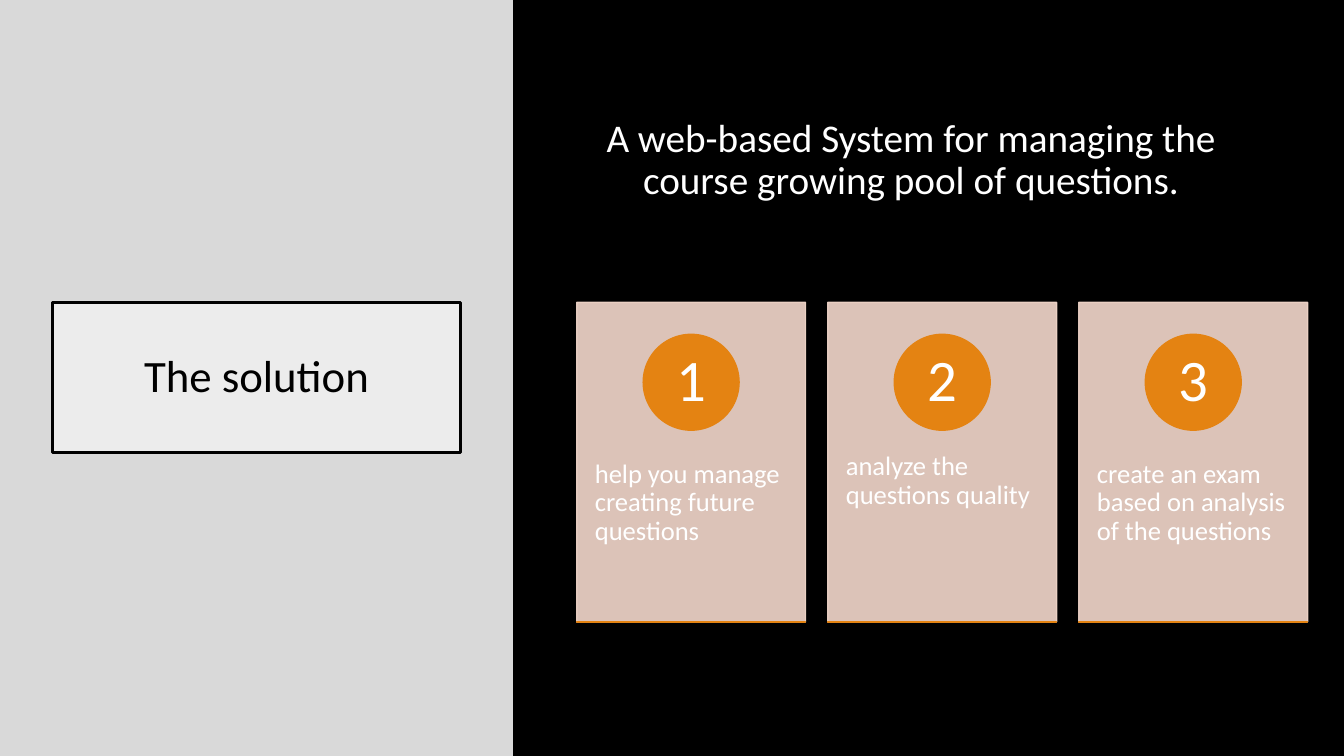
import pptx
import pptx.util
import pptx.dml.color
import pptx.enum.shapes
import pptx.enum.text
import pptx.oxml
import pptx.oxml.ns

Inches = pptx.util.Inches
Pt = pptx.util.Pt
SHAPE = pptx.enum.shapes.MSO_SHAPE
ALIGN = pptx.enum.text.PP_ALIGN
ANCHOR = pptx.enum.text.MSO_ANCHOR

WIDTH, HEIGHT = 13.33, 7.5
SIDE_WIDTH = 5.09
COLORS = {
    "black": "000000",
    "white": "FFFFFF",
    "side": "D9D9D9",
    "card": "F5D9CC",
    "accent": "E48312",
}
STEPS = [
    "help you manage creating future questions",
    "analyze the questions quality",
    "create an exam based on analysis of the questions",
]


def paint(color_format, name, opacity):
    color_format.rgb = pptx.dml.color.RGBColor.from_string(COLORS[name])
    if opacity < 100:
        element = color_format._xFill.find(pptx.oxml.ns.qn("a:srgbClr"))
        alpha = pptx.oxml.parse_xml(
            f'<a:alpha {pptx.oxml.ns.nsdecls("a")} val="{opacity * 1000}"/>')
        element.append(alpha)


def add_panel(shapes, kind, box, fill, line=None, line_width=1, fill_opacity=100,
              line_opacity=100):
    panel = shapes.add_shape(kind, *map(Inches, box))
    panel.shadow.inherit = False
    panel.fill.solid()
    paint(panel.fill.fore_color, fill, fill_opacity)
    if line:
        panel.line.width = Pt(line_width)
        panel.line.fill.solid()
        paint(panel.line.color, line, line_opacity)
    else:
        panel.line.fill.background()
    return panel


def write(shape, text, size, color="white", align=ALIGN.CENTER,
          anchor=ANCHOR.MIDDLE, insets=(0.1, 0.05)):
    """Fill a shape with one paragraph; insets are (sides, top and bottom)."""
    frame = shape.text_frame
    across, down = map(Inches, insets)
    frame_format = {
        "word_wrap": True, "vertical_anchor": anchor,
        "margin_left": across, "margin_right": across,
        "margin_top": down, "margin_bottom": down,
    }
    para = frame.paragraphs[0]
    span = para.add_run()
    span.text = text
    para_format = {"alignment": align, "line_spacing": 0.9}
    font_format = {"name": "Calibri", "size": Pt(size)}
    for target, values in ((frame, frame_format), (para, para_format),
                           (span.font, font_format)):
        for name, value in values.items():
            setattr(target, name, value)
    paint(span.font.color, color, 100)


def add_title_side(page, box):
    left, top, width, height = box
    add_panel(page.shapes, SHAPE.RECTANGLE, box, "side")
    title_box = (left + 0.52, top + 0.4 * height, width - 1.04, 1.49)
    title = add_panel(page.shapes, SHAPE.RECTANGLE, title_box, "white", "black",
                      line_width=2, fill_opacity=50)
    write(title, "The solution", 32, "black")


def add_card(page, box, number, text):
    left, top, width, height = box
    shapes = page.shapes.add_group_shape().shapes
    add_panel(shapes, SHAPE.RECTANGLE, box, "card", "card",
              fill_opacity=90, line_opacity=90)

    text_box = (left, top + 0.38 * height, width, 0.6 * height)
    description = shapes.add_textbox(*map(Inches, text_box))
    write(description, text, 19, align=ALIGN.LEFT, anchor=ANCHOR.TOP,
          insets=(0.18, 0.36))

    diameter = 0.3 * height
    circle_box = (left + (width - diameter) / 2, top + 0.1 * height,
                  diameter, diameter)
    circle = add_panel(shapes, SHAPE.OVAL, circle_box, "accent", "accent")
    write(circle, str(number), 42, insets=(0.07, 0.01))

    add_panel(shapes, SHAPE.RECTANGLE, (left, top + height, width, 0),
              "accent", "accent")


def add_content_side(page, box):
    left, top, width, height = box
    add_panel(page.shapes, SHAPE.RECTANGLE, box, "black")
    inner_left = left + 0.63
    card_width, card_pitch = 2.27, 2.49
    for index, text in enumerate(STEPS):
        card_box = (inner_left + index * card_pitch, top + 0.4 * height,
                    card_width, 3.17)
        add_card(page, card_box, index + 1, text)

    summary_box = (inner_left, top + 0.15 * height, 6.63, 1.4)
    summary = page.shapes.add_textbox(*map(Inches, summary_box))
    write(summary, "A web-based System for managing the course growing pool of "
          "questions.", 28, anchor=ANCHOR.TOP)


def main():
    deck = pptx.Presentation()
    deck.slide_width, deck.slide_height = Inches(WIDTH), Inches(HEIGHT)
    page = deck.slides.add_slide(deck.slide_layouts[6])
    page.background.fill.solid()
    paint(page.background.fill.fore_color, "black", 100)
    add_title_side(page, (0, 0, SIDE_WIDTH, HEIGHT))
    add_content_side(page, (SIDE_WIDTH, 0, WIDTH - SIDE_WIDTH, HEIGHT))
    deck.save("out.pptx")


if __name__ == "__main__":
    main()
